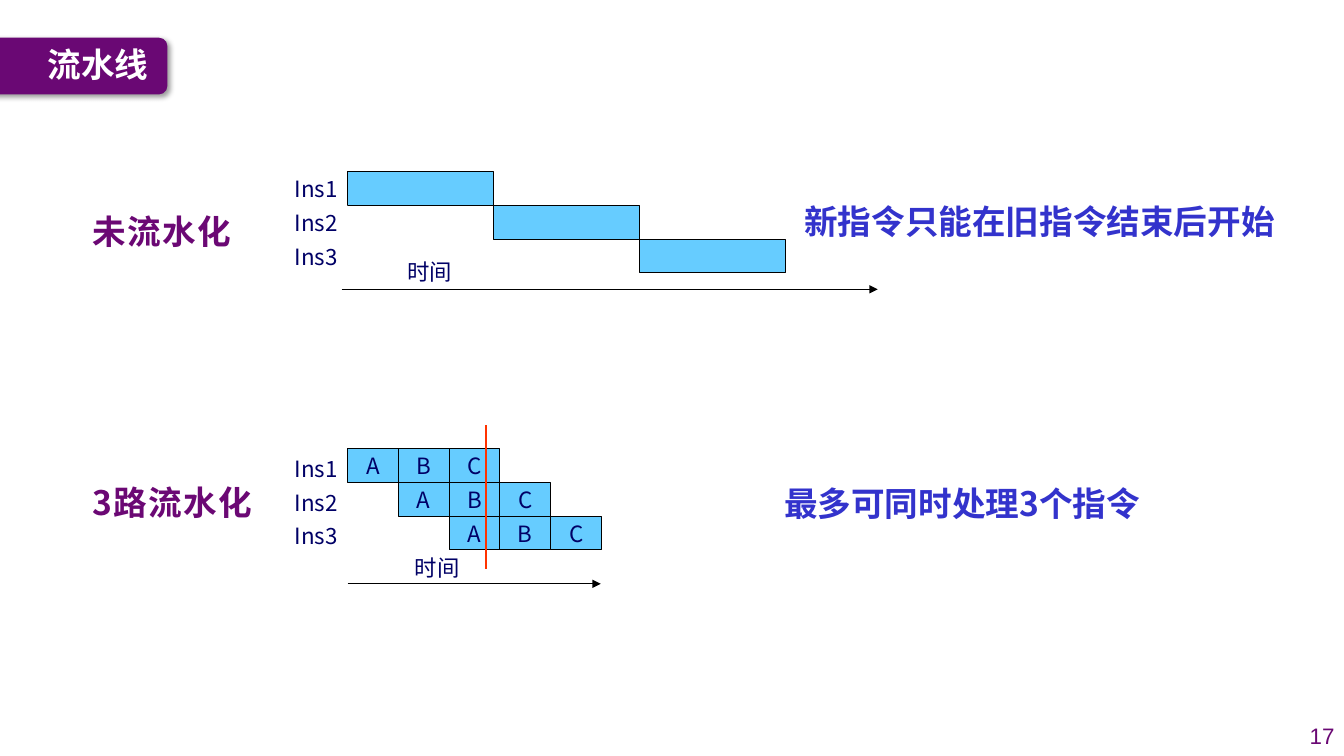
"""Build a slide comparing unpipelined and three-way pipelined instructions."""
from dataclasses import dataclass

import lxml.etree
import pptx
import pptx.dml.color
import pptx.enum.shapes
import pptx.enum.text
import pptx.oxml.ns
import pptx.util
from pptx.util import Cm

Rgb = pptx.dml.color.RGBColor
Align = pptx.enum.text.PP_ALIGN
Anchor = pptx.enum.text.MSO_ANCHOR
Preset = pptx.enum.shapes.MSO_SHAPE
qn = pptx.oxml.ns.qn


@dataclass(frozen=True)
class Theme:
    purple: str = "6A0874"
    heading: str = "6B0874"
    remark: str = "3333CC"
    ink: str = "000066"
    stage: str = "66CCFF"
    marker: str = "FF3300"
    white: str = "FFFFFF"
    black: str = "000000"
    cjk: str = "Noto Sans CJK SC"
    latin: str = "Arial"
    large: int = 24
    small: int = 16


theme = Theme()


def write(shapes, text, left, top, width, height, *, size=theme.small, color=theme.ink,
          font=theme.cjk, bold=False, align=Align.CENTER, anchor=Anchor.MIDDLE,
          wrap=True, level=0, spacing=0, fill=None, outline=False):
    """Add a text box, or a rectangle when a fill is given, with formatted text."""
    place = Cm(left), Cm(top), Cm(width), Cm(height)
    if fill:
        box = shapes.add_shape(Preset.RECTANGLE, *place)
        box.shadow.inherit = False
        box.fill.solid()
        box.fill.fore_color.rgb = Rgb.from_string(fill)
        if outline:
            box.line.color.rgb = Rgb.from_string(theme.black)
            box.line.width = pptx.util.Pt(0.75)
        else:
            box.line.fill.background()
    else:
        box = shapes.add_textbox(*place)
    if not text:
        return
    frame = box.text_frame
    frame.word_wrap = wrap
    frame.vertical_anchor = anchor
    paragraph = frame.paragraphs[0]
    paragraph.alignment = align
    paragraph.level = level
    run = paragraph.add_run()
    run.text = text
    run.font.size = pptx.util.Pt(size)
    run.font.bold = bold
    run.font.color.rgb = Rgb.from_string(color)
    run.font.name = font
    properties = run._r.get_or_add_rPr()
    lxml.etree.SubElement(properties, qn("a:ea"), typeface=font)
    if spacing:
        properties.set("spc", str(spacing * 100))


def draw_line(shapes, start, end, color, weight, arrow=False):
    """Add a straight line, with an arrowhead at its end on request."""
    line = shapes.add_connector(pptx.enum.shapes.MSO_CONNECTOR.STRAIGHT,
                                *map(Cm, start + end))
    line.line.color.rgb = Rgb.from_string(color)
    line.line.width = pptx.util.Pt(weight)
    if arrow:
        lxml.etree.SubElement(line.line._get_or_add_ln(), qn("a:tailEnd"), type="triangle")
    lxml.etree.SubElement(line._element.spPr, qn("a:effectLst"))


presentation = pptx.Presentation()
presentation.slide_width = Cm(33.87)
presentation.slide_height = Cm(19.05)
slide = presentation.slides.add_slide(presentation.slide_layouts[6])

banner = slide.shapes.add_shape(Preset.ROUNDED_RECTANGLE, Cm(-1.98), Cm(0.95), Cm(6.2), Cm(1.43))
banner.adjustments[0] = 0.15
banner.fill.solid()
banner.fill.fore_color.rgb = Rgb.from_string(theme.purple)
banner.line.fill.background()
effects = lxml.etree.SubElement(banner._element.spPr, qn("a:effectLst"))
shadow = lxml.etree.SubElement(effects, qn("a:outerShdw"), blurRad="50800", dist="38100",
                               dir="2700000", algn="tl", rotWithShape="0")
shade = lxml.etree.SubElement(shadow, qn("a:srgbClr"), val=theme.black)
lxml.etree.SubElement(shade, qn("a:alpha"), val="40000")
write(slide.shapes, "流水线", 0.95, 0.92, 3.2, 1.4, size=theme.large, color=theme.white,
      bold=True, align=Align.LEFT)
write(slide.shapes, "17", 32.48, 18.03, 1.4, 1.02, color=theme.purple, font=theme.latin,
      align=Align.RIGHT)

row_height = 0.85
label_left, label_width = 7.01, 1.75
first_left = label_left + label_width
diagrams = [
    dict(stages=[""], stage_width=3.68, top=4.33, label_top=4.33,
         axis=(8.61, 22.12, 7.29), time=(10.01, 6.38)),
    dict(stages=["A", "B", "C"], stage_width=1.28, top=11.31, label_top=11.38,
         axis=(8.76, 15.14, 14.71), time=(10.19, 13.84)),
]
for diagram in diagrams:
    parts = slide.shapes.add_group_shape().shapes
    axis_start, axis_end, axis_y = diagram["axis"]
    draw_line(parts, (axis_start, axis_y), (axis_end, axis_y), theme.black, 1, arrow=True)
    write(parts, "时间", *diagram["time"], 1.65, 0.94, anchor=Anchor.TOP, wrap=False)
    for row in range(3):
        drop = row * row_height
        write(parts, f"Ins{row + 1}", label_left, diagram["label_top"] + drop, label_width,
              row_height, align=Align.RIGHT, fill=theme.white)
        for column, stage in enumerate(diagram["stages"], start=row):
            write(parts, stage, first_left + column * diagram["stage_width"],
                  diagram["top"] + drop, diagram["stage_width"], row_height,
                  fill=theme.stage, outline=True)

draw_line(slide.shapes, (12.24, 10.72), (12.24, 14.33), theme.marker, 1.5)

for heading, top, width in [("未流水化", 5.18, 4.06), ("3路流水化", 12.01, 4.6)]:
    write(slide.shapes, heading, 2.08, top, width, 1.27, size=theme.large,
          color=theme.heading, bold=True, align=Align.LEFT, anchor=Anchor.TOP, spacing=1)

for remark, left, top in [("新指令只能在旧指令结束后开始", 18.75, 4.93),
                          ("最多可同时处理3个指令", 18.24, 12.04)]:
    write(slide.shapes, remark, left, top, 14.27, 1.27, size=theme.large,
          color=theme.remark, bold=True, align=Align.LEFT, anchor=Anchor.TOP, level=1)

presentation.save("out.pptx")
